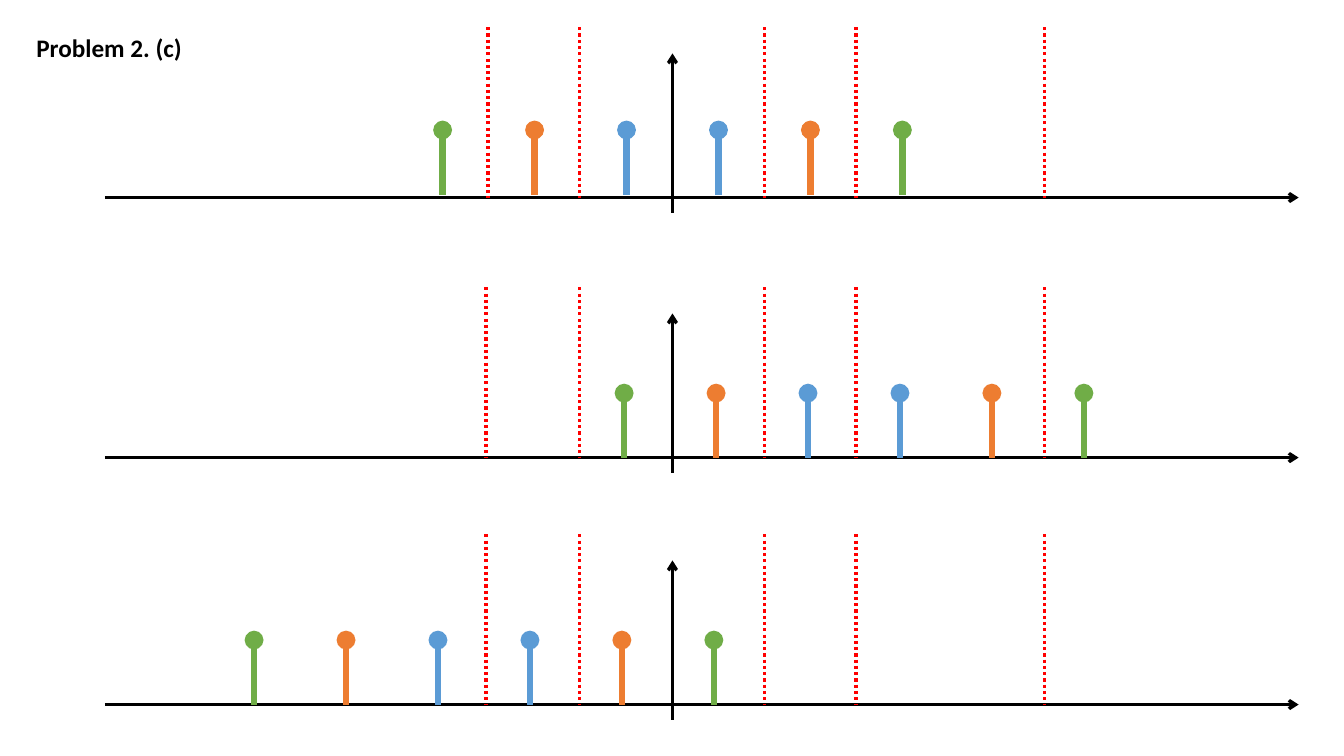
from pptx import Presentation
from pptx.dml.color import RGBColor
from pptx.enum.dml import MSO_LINE
from pptx.enum.shapes import MSO_CONNECTOR
from pptx.enum.text import MSO_ANCHOR, MSO_AUTO_SIZE, PP_ALIGN
from pptx.oxml.ns import qn
from pptx.util import Inches, Pt
from lxml import etree

STRAIGHT = MSO_CONNECTOR.STRAIGHT
DOTTED = MSO_LINE.ROUND_DOT
LEFT, TOP = PP_ALIGN.LEFT, MSO_ANCHOR.TOP
NO_AUTOFIT = MSO_AUTO_SIZE.NONE

BLACK = RGBColor(0x00, 0x00, 0x00)
RED = RGBColor(0xFF, 0x00, 0x00)
GREEN = RGBColor(0x70, 0xAD, 0x47)
ORANGE = RGBColor(0xED, 0x7D, 0x31)
BLUE = RGBColor(0x5B, 0x9B, 0xD5)

STEM_COLORS = [GREEN, ORANGE, BLUE, BLUE, ORANGE, GREEN]
STEM_GAP = 4.56 / 5
STEM_HEIGHT = 0.64

# Plot box and the places of its axes inside it, in inches
PLOT_LEFT, PLOT_WIDTH, PLOT_HEIGHT = 1.04, 11.84, 1.84
ORIGIN = 5.63
BASELINE = 1.69
AXIS_TIP = 0.26
GUIDES = [-0.92, 0.91, 1.82, 3.69]  # offsets from the origin

# Top of the plot, first stem and outer left guide (offsets from the
# origin), and gap between the stems and the baseline
PLOTS = [
    (0.27, -2.28, -1.83, 0.03),
    (2.85, -0.48, -1.85, 0),
    (5.30, -4.15, -1.85, 0),
]


def add_line(s, x1, y1, x2, y2, color, width, end=None, dash=None):
    line = s.shapes.add_connector(
        STRAIGHT, Inches(x1), Inches(y1), Inches(x2), Inches(y2))
    line.line.color.rgb = color
    line.line.width = Pt(width)
    if dash is not None:
        line.line.dash_style = dash
    sp_pr = line._element.spPr
    if end:
        etree.SubElement(sp_pr.find(qn("a:ln")), qn("a:tailEnd"), type=end)
    etree.SubElement(sp_pr, qn("a:effectLst"))


def add_title(s, left, top, width, height):
    sp = s.shapes.title
    sp.left, sp.top = Inches(left), Inches(top)
    sp.width, sp.height = Inches(width), Inches(height)
    tf = sp.text_frame
    tf.text = "Problem 2. (c)"
    tf.auto_size = NO_AUTOFIT
    tf.vertical_anchor = TOP
    p = tf.paragraphs[0]
    p.alignment = LEFT
    font = p.runs[0].font
    font.name, font.size, font.bold = "Calibri", Pt(18), True
    font.color.rgb = BLACK


def add_stem_plot(s, left, top, width, height, first_stem, outer_guide, lift):
    origin = left + ORIGIN
    base = top + BASELINE

    # Axes
    add_line(s, origin, top + height, origin, top + AXIS_TIP,
             BLACK, 2.25, end="arrow")
    add_line(s, left, base, left + width, base, BLACK, 2.25, end="arrow")

    # Dotted guides
    for offset in [outer_guide] + GUIDES:
        x = origin + offset
        add_line(s, x, top, x, base, RED, 2.25, dash=DOTTED)

    # Stems
    for i, color in enumerate(STEM_COLORS):
        x = origin + first_stem + i * STEM_GAP
        foot = base - lift
        add_line(s, x, foot, x, foot - STEM_HEIGHT, color, 4.5, end="oval")


def main():
    prs = Presentation()
    prs.slide_width, prs.slide_height = Inches(13.33), Inches(7.5)
    s = prs.slides.add_slide(prs.slide_layouts[5])  # Title Only
    add_title(s, 0.26, 0.27, 1.79, 0.4)
    for top, first_stem, outer_guide, lift in PLOTS:
        add_stem_plot(s, PLOT_LEFT, top, PLOT_WIDTH, PLOT_HEIGHT,
                      first_stem, outer_guide, lift)
    prs.save("out.pptx")


if __name__ == "__main__":
    main()
